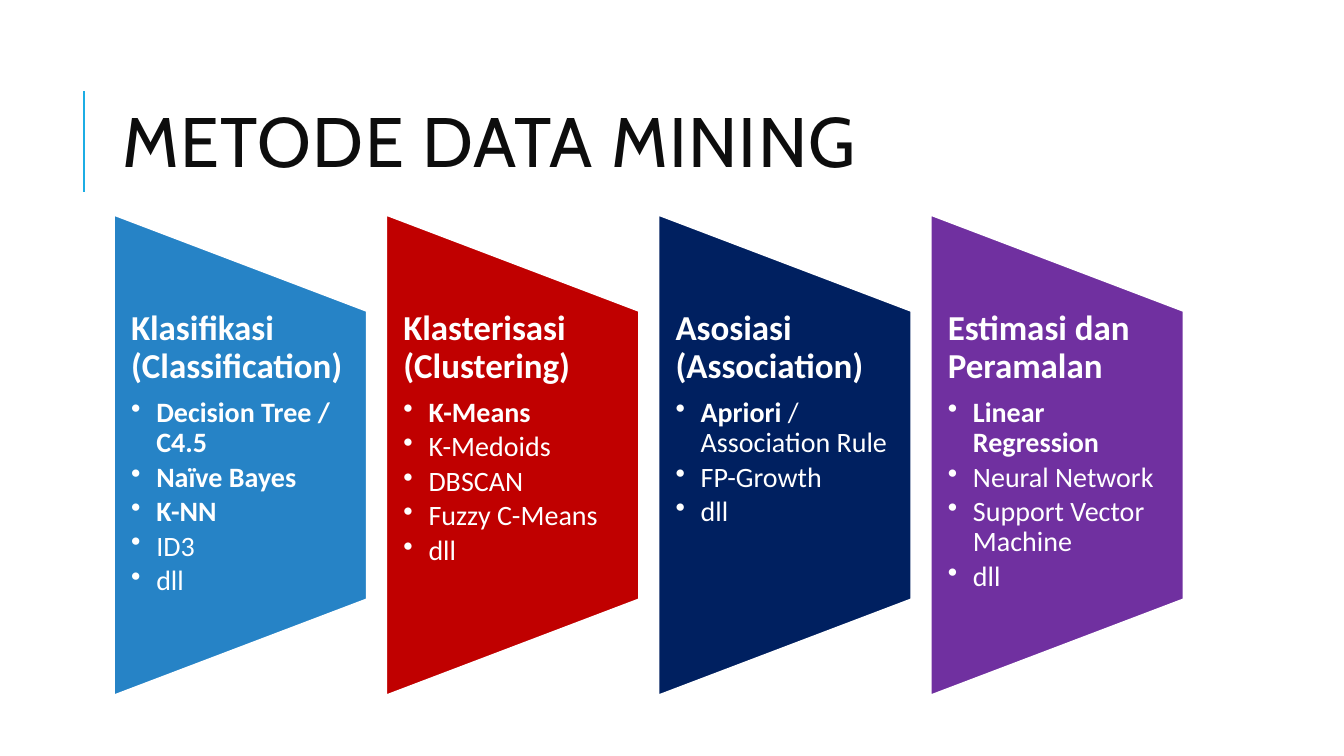
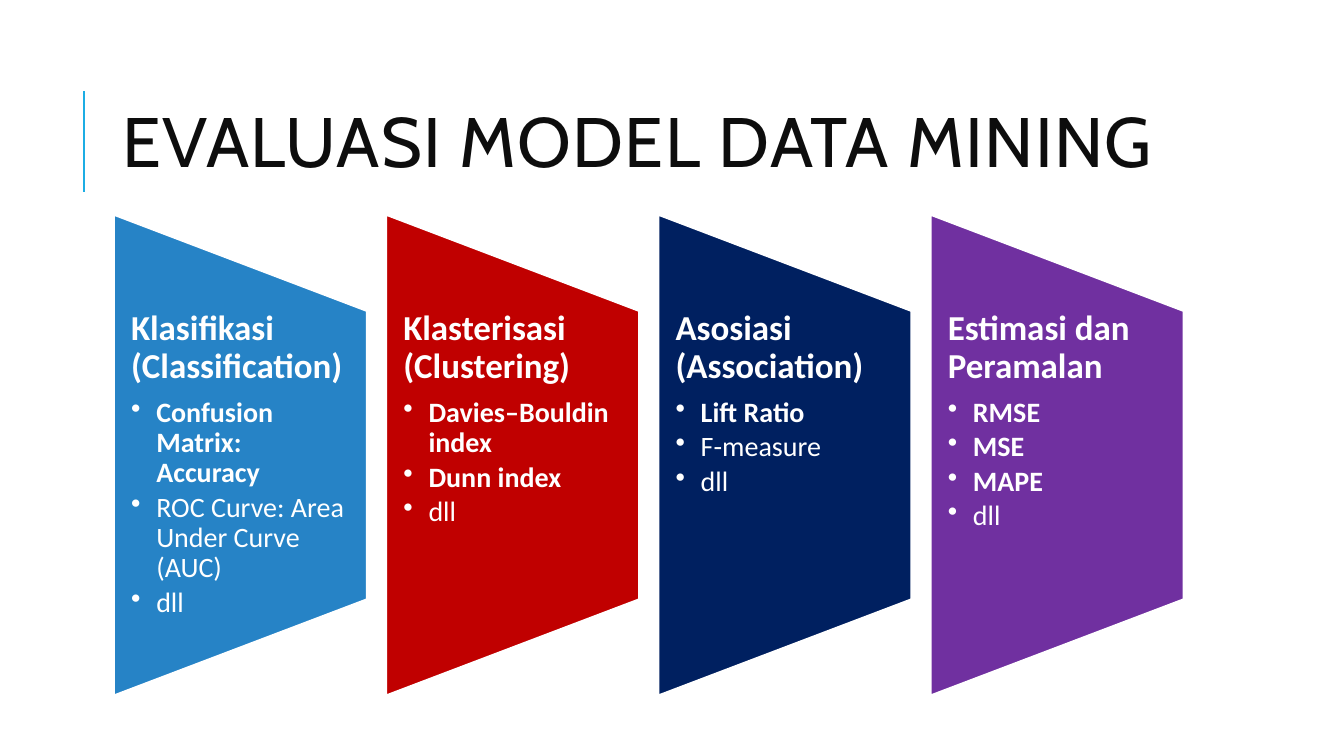
from dataclasses import dataclass

from lxml import etree
from pptx import Presentation, util as u
from pptx.dml.color import RGBColor
from pptx.enum import shapes, text
from pptx.oxml import ns

PX = 9144  # EMU: 100 px to the inch


@dataclass(frozen=True)
class Theme:
    background: str = "FFFFFF"
    accent: str = "1CADE4"
    title_color: str = "0D0D0D"
    card_text: str = "FFFFFF"
    card_fills: tuple = ("2683C6", "C00000", "002060", "7030A0")
    title_font: str = "Cabin"
    body_font: str = "Calibri"
    title_size: int = 50
    heading_size: int = 25
    item_size: int = 20
    line_width: float = 1.5


CARD_LEFT, CARD_TOP = 113, 213
CARD_WIDTH, CARD_HEIGHT, CARD_PITCH = 251, 477, 270
BODY_TOP, BODY_HEIGHT = 308, 286
BULLET_INDENT = 25

HEADINGS = (
    "Klasifikasi (Classification)",
    "Klasterisasi (Clustering)",
    "Asosiasi (Association)",
    "Estimasi dan Peramalan",
)

# Each card lists its items as (bold part, plain part).
OTHERS = ("", "dll")
SLIDES = (
    ("METODE DATA MINING", (
        (("Decision Tree / C4.5", ""), ("Naïve Bayes", ""), ("K-NN", ""),
         ("", "ID3"), OTHERS),
        (("K-Means", ""), ("", "K-Medoids"), ("", "DBSCAN"),
         ("", "Fuzzy C-Means"), OTHERS),
        (("Apriori", " / Association Rule"), ("", "FP-Growth"), OTHERS),
        (("Linear Regression", ""), ("", "Neural Network"),
         ("", "Support Vector Machine"), OTHERS),
    )),
    ("EVALUASI MODEL DATA MINING", (
        (("Confusion Matrix: Accuracy", ""),
         ("", "ROC Curve: Area Under Curve (AUC)"), OTHERS),
        (("Davies–Bouldin index", ""), ("Dunn index", ""), OTHERS),
        (("Lift Ratio", ""), ("", "F-measure"), OTHERS),
        (("RMSE", ""), ("MSE", ""), ("MAPE", ""), OTHERS),
    )),
)


def px(*lengths):
    return [u.Emu(length * PX) for length in lengths]


def rgb(color):
    return RGBColor.from_string(color)


class SlideBuilder:
    """Holds the theme and draws on the slide most recently started."""

    def __init__(self, deck, theme):
        self.deck = deck
        self.theme = theme
        self.slide = None

    def start_slide(self):
        self.slide = self.deck.slides.add_slide(self.deck.slide_layouts[6])
        fill = self.slide.background.fill
        fill.solid()
        fill.fore_color.rgb = rgb(self.theme.background)

    def rule(self, x1, y1, x2, y2):
        line = self.slide.shapes.add_connector(
            shapes.MSO_CONNECTOR.STRAIGHT, *px(x1, y1, x2, y2))
        line.line.color.rgb = rgb(self.theme.accent)
        line.line.width = u.Pt(self.theme.line_width)
        etree.SubElement(line._element.spPr, ns.qn("a:effectLst"))

    def text_box(self, left, top, width, height, insets):
        box = self.slide.shapes.add_textbox(*px(left, top, width, height))
        frame = box.text_frame
        frame.word_wrap = True
        (frame.margin_left, frame.margin_top,
         frame.margin_right, frame.margin_bottom) = px(*insets)
        return frame

    def span(self, para, words, size, color, font, bold=False):
        span = para.add_run()
        span.text = words
        span.font.size = u.Pt(size)
        span.font.name = font
        span.font.bold = bold
        span.font.color.rgb = rgb(color)
        return span

    def title(self, words):
        theme = self.theme
        self.rule(83, 190, 83, 90)
        frame = self.text_box(112, 64, 1063, 164, (10, 5, 10, 5))
        frame.vertical_anchor = text.MSO_ANCHOR.MIDDLE
        para = frame.paragraphs[0]
        para.line_spacing = 0.8
        span = self.span(para, words, theme.title_size, theme.title_color,
                         theme.title_font)
        span.font._element.set("spc", "100")

    def trapezoid(self, left, fill):
        """Draw a card outline: a wide shape turned to face right."""
        x = left + (CARD_WIDTH - CARD_HEIGHT) // 2
        y = CARD_TOP + (CARD_HEIGHT - CARD_WIDTH) // 2
        shape = self.slide.shapes.add_shape(
            shapes.MSO_SHAPE.FLOWCHART_MANUAL_OPERATION,
            *px(x, y, CARD_HEIGHT, CARD_WIDTH))
        shape.rotation = 270
        shape.shadow.inherit = False
        shape.fill.solid()
        shape.fill.fore_color.rgb = rgb(fill)
        shape.line.color.rgb = rgb(self.theme.background)
        shape.line.width = u.Pt(self.theme.line_width)

    def bullet(self, para):
        properties = para._p.get_or_add_pPr()
        indent = BULLET_INDENT * PX
        properties.set("marL", str(indent))
        properties.set("indent", str(-indent))
        etree.SubElement(properties, ns.qn("a:buChar")).set("char", "•")

    def card(self, left, fill, heading, items):
        theme = self.theme
        self.trapezoid(left, fill)
        frame = self.text_box(left, BODY_TOP, CARD_WIDTH, BODY_HEIGHT,
                              (17, 0, 18, 0))
        para = frame.paragraphs[0]
        para.line_spacing = 0.9
        para.space_after = u.Pt(theme.heading_size * 0.35)
        self.span(para, heading, theme.heading_size, theme.card_text,
                  theme.body_font, bold=True)
        for strong, plain in items:
            para = frame.add_paragraph()
            self.bullet(para)
            para.line_spacing = 0.9
            para.space_after = u.Pt(theme.item_size * 0.15)
            for words, bold in ((strong, True), (plain, False)):
                if words:
                    self.span(para, words, theme.item_size, theme.card_text,
                              theme.body_font, bold)

    def cards(self, item_lists):
        columns = zip(self.theme.card_fills, HEADINGS, item_lists)
        for index, (fill, heading, items) in enumerate(columns):
            self.card(CARD_LEFT + index * CARD_PITCH, fill, heading, items)


def main():
    deck = Presentation()
    deck.slide_width, deck.slide_height = px(1333, 750)
    builder = SlideBuilder(deck, Theme())
    for title, item_lists in SLIDES:
        builder.start_slide()
        builder.title(title)
        builder.cards(item_lists)
    deck.save("out.pptx")


if __name__ == "__main__":
    main()
